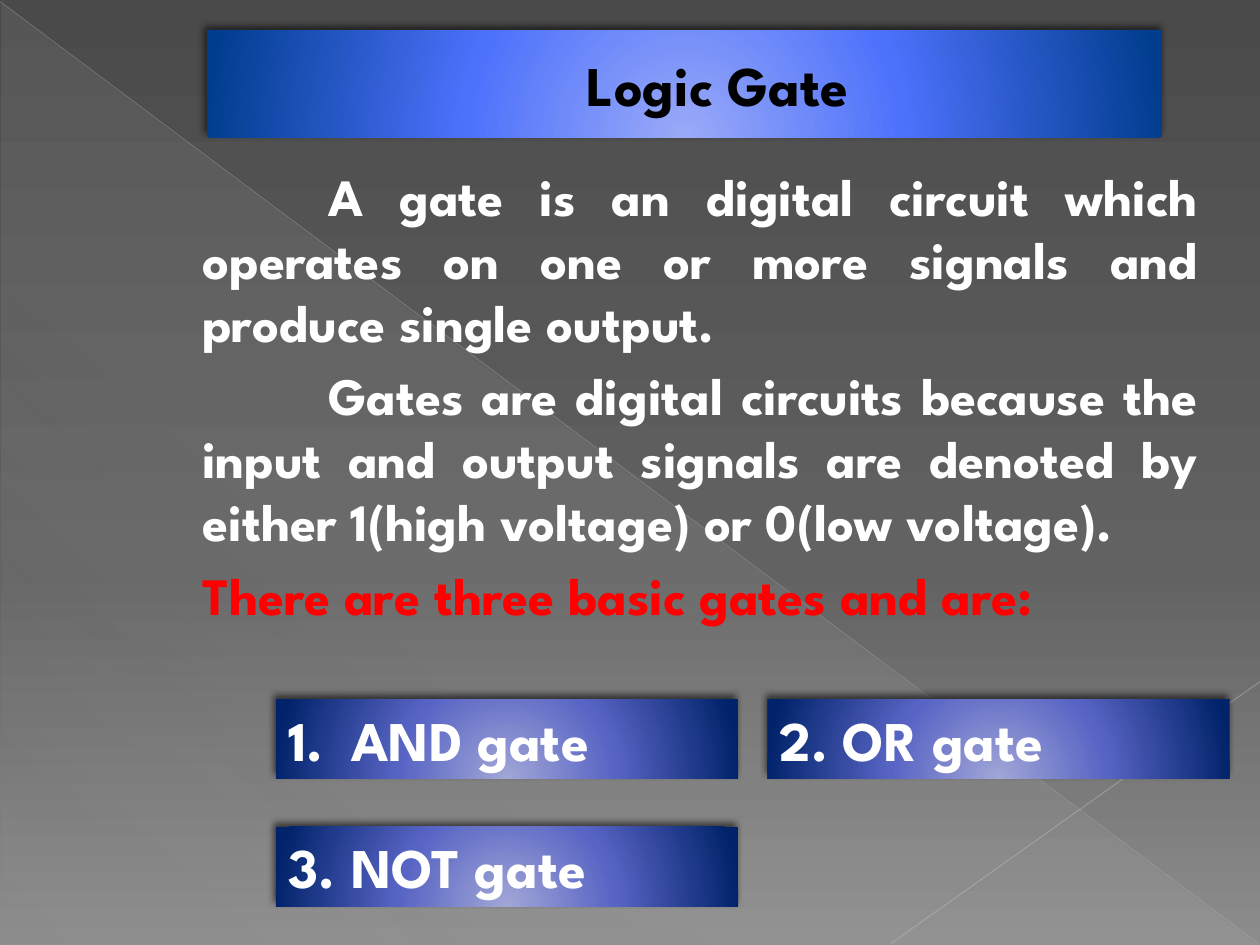
from dataclasses import dataclass

from lxml.etree import SubElement
from pptx import Presentation
from pptx.dml.color import RGBColor
from pptx.enum.shapes import MSO_CONNECTOR, MSO_SHAPE
from pptx.enum.text import MSO_ANCHOR, MSO_AUTO_SIZE, PP_ALIGN
from pptx.oxml.ns import qn
from pptx.util import Cm, Pt

FONT = "League Spartan"
GATE_STOPS = [(0, "A1A6D6"), (46, "5864C4"), (100, "00236A")]
TITLE_STOPS = [(0, "9AAAF8"), (46, "4C71FB"), (100, "003D8E")]
PAGE_STOPS = [(0, "4A4A4A"), (60, "626262"), (100, "8C8C8C")]
VEIL_STOPS = [(0, "D2D2D2", 10), (70, "D2D2D2", 8), (100, "D2D2D2", 1)]


@dataclass
class Ray:
    start: tuple[float, float]
    end: tuple[float, float]
    color: str
    width: float
    opacity: int


@dataclass
class Gate:
    label: str
    column: int
    row: int


@dataclass
class Passage:
    text: str
    color: str = "FFFFFF"
    first_indent: float = 2.54


RAYS = [
    Ray((0, 0.03), (25.37, 19.02), "BFBFBF", 0.39, 35),
    Ray((25.4, 13.74), (17.96, 19.02), "C6C6C6", 0.47, 45),
]
GATES = [
    Gate("1.\tAND gate", 0, 0),
    Gate("2.\tOR gate", 1, 0),
    Gate("3.\tNOT gate", 0, 1),
]
PASSAGES = [
    Passage("A gate is an digital circuit which operates on one or more signals "
            "and produce single output."),
    Passage("Gates are digital circuits because the input and output signals are "
            "denoted by either 1(high voltage) or 0(low voltage)."),
    Passage("There are three basic gates and are:", "FF0000", 0),
]


def rgb(color: str) -> RGBColor:
    return RGBColor.from_string(color)


def add_element(parent, tag: str, **attributes):
    values = {name: str(value) for name, value in attributes.items()}
    return SubElement(parent, qn(tag), values)


def set_gradient(fill, properties, stops, angle: float | None = None) -> None:
    """Fill with gradient stops: linear at the angle, else glowing from below."""
    fill.gradient()
    gradient = properties.find(qn("a:gradFill"))
    for child in list(gradient):
        gradient.remove(child)
    stop_list = add_element(gradient, "a:gsLst")
    for position, color, *opacity in stops:
        stop = add_element(stop_list, "a:gs", pos=position * 1000)
        tint = add_element(stop, "a:srgbClr", val=color)
        if opacity:
            add_element(tint, "a:alpha", val=opacity[0] * 1000)
    if angle is None:
        glow = add_element(gradient, "a:path", path="circle")
        add_element(glow, "a:fillToRect", l=50000, t=155000, r=50000, b=-55000)
    else:
        add_element(gradient, "a:lin", ang=int(angle * 60000), scaled=0)


def style_panel(shape, stops) -> None:
    """Give a shape the glowing fill, no outline and a soft shadow."""
    properties = shape.element.spPr
    set_gradient(shape.fill, properties, stops)
    shape.line.fill.background()
    shape.shadow.inherit = False
    effects = properties.find(qn("a:effectLst"))
    shadow = add_element(effects, "a:outerShdw", blurRad=Pt(4), dist=Pt(3),
                         dir=245 * 60000, algn="tl", rotWithShape=0)
    tint = add_element(shadow, "a:srgbClr", val="000000")
    add_element(tint, "a:alpha", val=60000)


def write(para, text: str, *, size: float, color: str = "FFFFFF",
          align=PP_ALIGN.LEFT, left: float = 0, first_indent: float = 0) -> None:
    para.alignment = align
    settings = para._p.get_or_add_pPr()
    settings.set("marL", str(Cm(left)))
    settings.set("indent", str(Cm(first_indent)))
    span = para.add_run()
    span.text = text
    span.font.name = FONT
    span.font.size = Pt(size)
    span.font.bold = True
    span.font.color.rgb = rgb(color)


def add_backdrop(page) -> None:
    fill = page.background.fill
    fill.solid()
    set_gradient(fill, page.element.find(".//" + qn("p:bgPr")), PAGE_STOPS, 90)
    veil = page.shapes.add_shape(MSO_SHAPE.RIGHT_TRIANGLE,
                                 Cm(0.03), Cm(0.05), Cm(25.35), Cm(19))
    set_gradient(veil.fill, veil.element.spPr, VEIL_STOPS, 133)
    veil.line.fill.background()
    veil.shadow.inherit = False
    for ray in RAYS:
        add_ray(page, ray)


def add_ray(page, ray: Ray) -> None:
    line = page.shapes.add_connector(MSO_CONNECTOR.STRAIGHT,
                                     *map(Cm, ray.start + ray.end))
    line.line.width = Pt(ray.width)
    line.line.color.rgb = rgb(ray.color)
    properties = line.element.spPr
    tint = properties.find(".//" + qn("a:srgbClr"))
    add_element(tint, "a:alpha", val=ray.opacity * 1000)
    add_element(properties, "a:effectLst")


def add_title(page, text: str) -> None:
    title = page.shapes.title
    title.left, title.top, title.width, title.height = map(
        Cm, (4.17, 0.61, 19.25, 2.16))
    style_panel(title, TITLE_STOPS)
    frame = title.text_frame
    frame.auto_size = MSO_AUTO_SIZE.NONE
    frame.vertical_anchor = MSO_ANCHOR.MIDDLE
    write(frame.paragraphs[0], text, size=32, color="000000",
          align=PP_ALIGN.CENTER, left=1.35)
    # Bring the title in front of the backdrop
    title.element.getparent().append(title.element)


def add_body(page) -> None:
    box = page.shapes.add_textbox(Cm(2.59), Cm(3.18), Cm(21.82), Cm(10))
    frame = box.text_frame
    frame.word_wrap = True
    for index, passage in enumerate(PASSAGES):
        para = frame.add_paragraph() if index else frame.paragraphs[0]
        write(para, passage.text, size=30, color=passage.color,
              align=PP_ALIGN.JUSTIFY, left=1.24,
              first_indent=passage.first_indent)
        if index:
            para.space_before = Pt(6)


def add_gate(page, gate: Gate) -> None:
    panel = page.shapes.add_shape(
        MSO_SHAPE.RECTANGLE, Cm(5.56 + 9.91 * gate.column),
        Cm(14.1 + 2.57 * gate.row), Cm(9.32), Cm(1.6))
    style_panel(panel, GATE_STOPS)
    frame = panel.text_frame
    frame.word_wrap = True
    frame.vertical_anchor = MSO_ANCHOR.MIDDLE
    write(frame.paragraphs[0], gate.label, size=32)


def main() -> None:
    deck = Presentation()
    deck.slide_width, deck.slide_height = Cm(25.4), Cm(19.05)
    page = deck.slides.add_slide(deck.slide_layouts.get_by_name("Title Only"))
    add_backdrop(page)
    add_title(page, "Logic Gate")
    add_body(page)
    for gate in GATES:
        add_gate(page, gate)
    deck.save("out.pptx")


if __name__ == "__main__":
    main()
